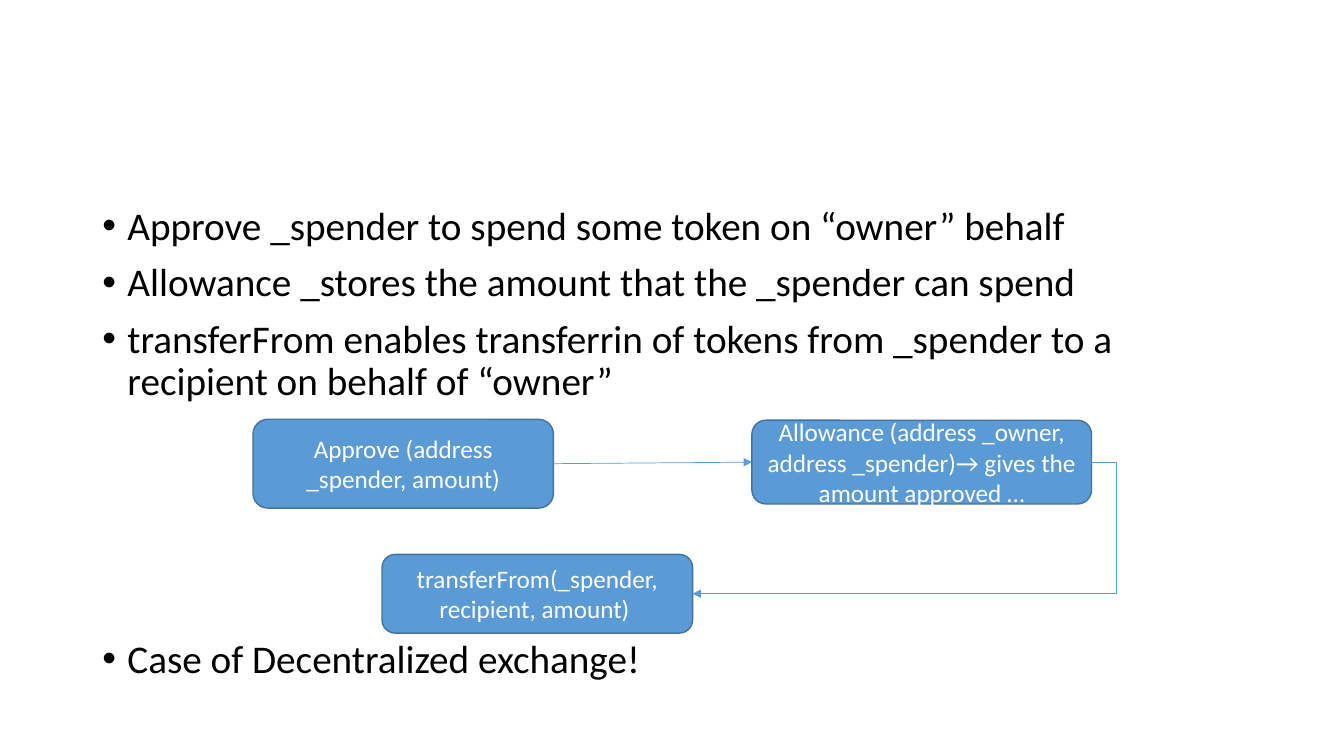
from lxml.etree import SubElement
from pptx import Presentation
from pptx.dml.color import RGBColor
from pptx.enum.shapes import MSO_CONNECTOR as Connector, MSO_SHAPE as Shape
from pptx.enum.text import MSO_ANCHOR as Anchor, PP_ALIGN as Align
from pptx.oxml.ns import qn
from pptx.util import Pt

COLORS = {"text": "000000", "box": "5B9BD5", "border": "43739E",
          "arrow": "5B9BD5", "box_text": "FFFFFF"}
FONT = "Calibri"
INDENT = 18
DETOUR = 18  # how far the bent arrow swings out to the right
DIAGRAM_GAP = 168  # space before the bullet below the diagram

BULLETS = [
    ("Approve _spender to spend some token on “owner” behalf", 10),
    ("Allowance _stores the amount that the _spender can spend", 10),
    ("transferFrom enables transferrin of tokens from _spender to a "
     "recipient on behalf of “owner”", 10),
    ("Case of Decentralized exchange!", DIAGRAM_GAP),
]


def color(name):
    return RGBColor.from_string(COLORS[name])


def add_run(paragraph, text, size, color_name):
    run = paragraph.add_run()
    run.text = text
    run.font.name = FONT
    run.font.size = Pt(size)
    run.font.color.rgb = color(color_name)


def add_bullets(slide, left, top, width, height):
    body = slide.shapes.add_textbox(Pt(left), Pt(top), Pt(width), Pt(height))
    frame = body.text_frame
    frame.word_wrap = True
    for index, (text, gap) in enumerate(BULLETS):
        paragraph = frame.add_paragraph() if index else frame.paragraphs[0]
        paragraph.line_spacing = 0.9
        paragraph.space_before = Pt(gap)
        properties = paragraph._p.get_or_add_pPr()
        properties.set("marL", str(Pt(INDENT)))
        properties.set("indent", str(-Pt(INDENT)))
        SubElement(properties, qn("a:buFont"), typeface="Arial")
        SubElement(properties, qn("a:buChar"), char="•")
        add_run(paragraph, text, 28, "text")


def add_step(slide, text, left, top, width, height):
    step = slide.shapes.add_shape(
        Shape.ROUNDED_RECTANGLE, Pt(left), Pt(top), Pt(width), Pt(height))
    step.shadow.inherit = False
    step.fill.solid()
    step.fill.fore_color.rgb = color("box")
    step.line.color.rgb = color("border")
    step.line.width = Pt(1)
    frame = step.text_frame
    frame.word_wrap = True
    frame.vertical_anchor = Anchor.MIDDLE
    frame.paragraphs[0].alignment = Align.CENTER
    add_run(frame.paragraphs[0], text, 18, "box_text")
    return step


def right_middle(step):
    return step.left + step.width, step.top + step.height // 2


def add_arrow(slide, kind, start, end):
    arrow = slide.shapes.add_connector(kind, *start, *end)
    arrow.line.color.rgb = color("arrow")
    arrow.line.width = Pt(0.5)
    SubElement(arrow.line._get_or_add_ln(), qn("a:tailEnd"), type="triangle")
    SubElement(arrow._element.spPr, qn("a:effectLst"))
    return arrow


def add_flow(slide, left, top):
    """Draw the three calls and the arrows between them."""
    approve = add_step(slide, "Approve (address _spender, amount)",
                       left, top, 214.6, 63.4)
    allowance = add_step(
        slide, "Allowance (address _owner, address _spender)→ gives the "
        "amount approved …", left + 356.4, top + 0.7, 242.6, 59.8)
    transfer = add_step(slide, "transferFrom(_spender, recipient, amount) ",
                        left + 92.2, top + 96.5, 221.8, 56.2)

    straight = add_arrow(
        slide, Connector.STRAIGHT, right_middle(approve),
        (allowance.left, allowance.top + allowance.height // 2))
    straight.begin_connect(approve, 3)
    straight.end_connect(allowance, 1)

    bent = add_arrow(slide, Connector.ELBOW,
                     right_middle(allowance), right_middle(transfer))
    adjustments = bent._element.spPr.find(qn("a:prstGeom")).get_or_add_avLst()
    share = round(-100000 * Pt(DETOUR) / bent.width)
    SubElement(adjustments, qn("a:gd"), name="adj1", fmla=f"val {share}")


def main():
    deck = Presentation()
    deck.slide_width, deck.slide_height = Pt(960), Pt(540)
    slide = deck.slides.add_slide(deck.slide_layouts[6])
    add_bullets(slide, 66, 144, 828, 367)
    add_flow(slide, 180.7, 299.5)
    deck.save("out.pptx")


if __name__ == "__main__":
    main()
